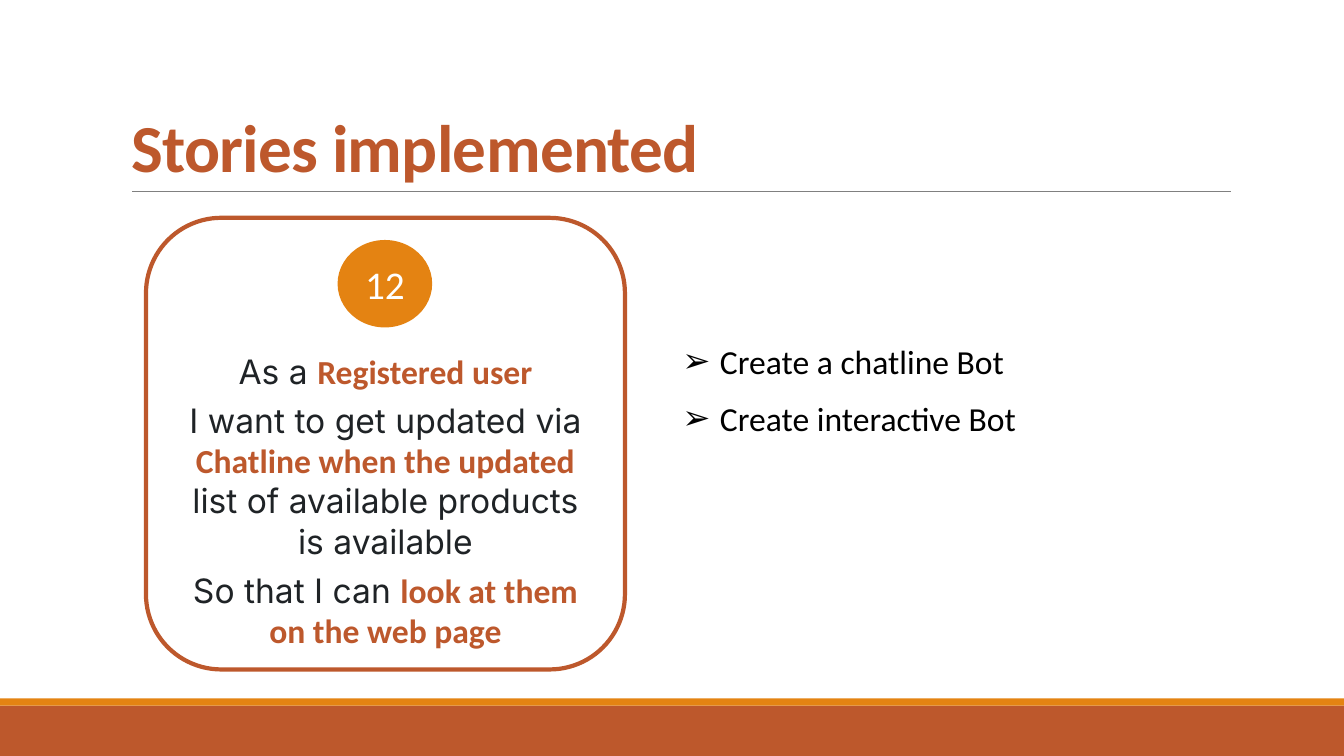
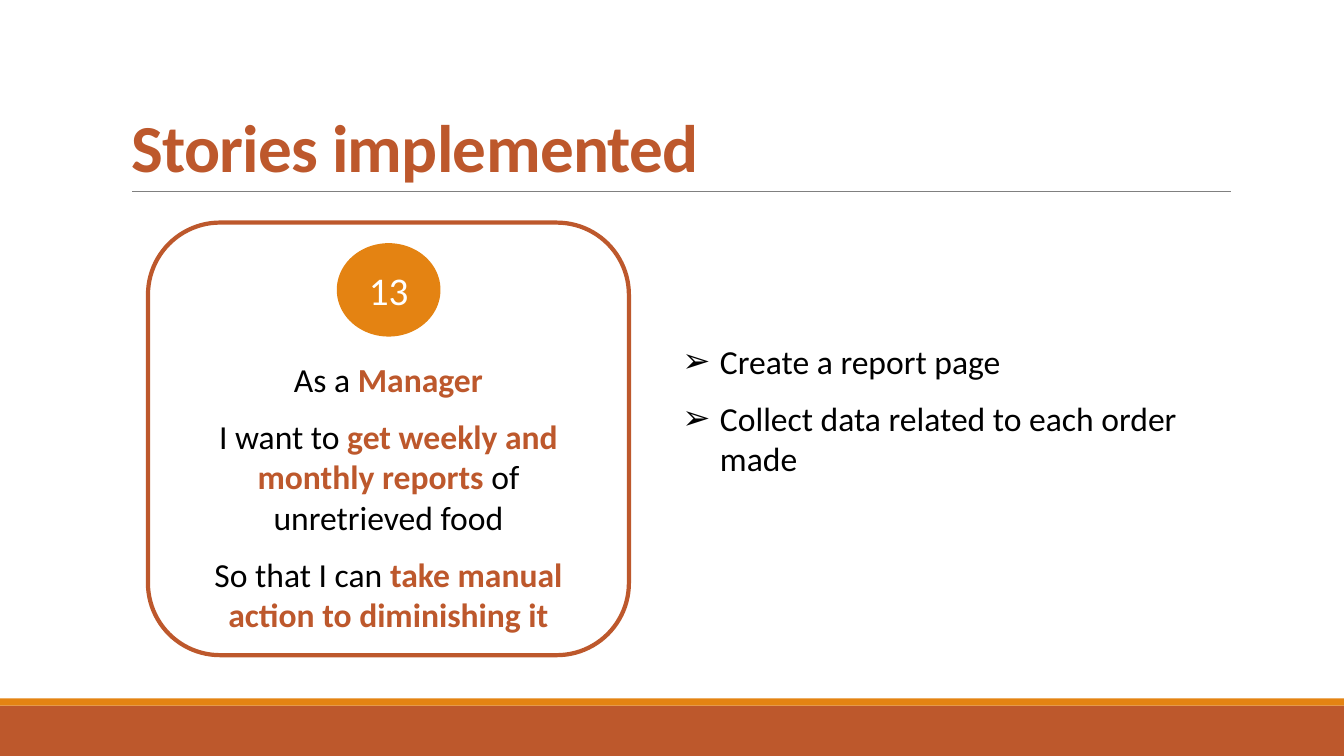
from lxml import etree
from pptx import Presentation
from pptx import util as u
from pptx.dml.color import RGBColor
from pptx.enum import shapes, text
from pptx.oxml.ns import qn

COLORS = {
    "rust": "BD582C",
    "orange": "E48312",
    "rule": "808080",
    "white": "FFFFFF",
    "black": "000000",
    "ink": "1F2326",
}

STORIES = [
    {
        "number": "12",
        "story": [
            "As a *Registered user",
            "I want to get updated via *Chatline when the updated *"
            "list of available products is available",
            "So that I can *look at them on the web page",
        ],
        "tasks": ["Create a chatline Bot", "Create interactive Bot"],
        "card": (3.68, 5.49, 12.07, 11.38),
        "badge": (8.53, 6.07, 2.34, 2.16),
        "story_top": 2.8,
        "story_format": {"font": "Inter", "color": "ink", "after": 6},
    },
    {
        "number": "13",
        "story": [
            "As a *Manager",
            "I want to *get weekly and monthly reports *of unretrieved food",
            "So that I can *take manual action to diminishing it",
        ],
        "tasks": ["Create a report page", "Collect data related to each order made"],
        "card": (3.73, 5.61, 12.12, 10.9),
        "badge": (8.51, 6.15, 2.57, 2.31),
        "story_top": 2.9,
        "story_format": {"after": 12},
    },
]


def write(frame, paragraphs, font="Calibri", size=24, color="black", bold=False,
          align=text.PP_ALIGN.LEFT, after=0, line=1.0, tracking=None, bullet=None):
    for index, words in enumerate(paragraphs):
        paragraph = frame.paragraphs[0] if index == 0 else frame.add_paragraph()
        paragraph.alignment = align
        paragraph.space_before = u.Pt(0)
        paragraph.space_after = u.Pt(after)
        paragraph.line_spacing = line
        for position, part in enumerate(words.split("*")):
            accent = position % 2 == 1
            run = paragraph.add_run()
            run.text = part
            run.font.name = "Calibri" if accent else font
            run.font.size = u.Pt(size)
            run.font.bold = bold or accent
            run.font.color.rgb = RGBColor.from_string(COLORS["rust" if accent else color])
            if tracking is not None:
                run.font._element.set("spc", str(tracking))
        if bullet:
            properties = paragraph._p.get_or_add_pPr()
            properties.set("marL", str(u.Cm(0.95)))
            properties.set("indent", str(u.Cm(-0.95)))
            etree.SubElement(properties, qn("a:buChar")).set("char", bullet)


def draw(slide, kind, box, fill, outline=None, weight=1):
    shape = slide.shapes.add_shape(kind, *map(u.Cm, box))
    shape.shadow.inherit = False
    shape.fill.solid()
    shape.fill.fore_color.rgb = RGBColor.from_string(COLORS[fill])
    if outline:
        shape.line.color.rgb = RGBColor.from_string(COLORS[outline])
        shape.line.width = u.Pt(weight)
    else:
        shape.line.fill.background()
    return shape


prs = Presentation()
prs.slide_width, prs.slide_height = u.Cm(33.87), u.Cm(19.05)

layout = prs.slide_layouts[1]
for holder in list(layout.placeholders):
    if holder.placeholder_format.idx >= 10:
        holder.element.getparent().remove(holder.element)
title_area, tasks_area = layout.placeholders
title_area.left, title_area.top = u.Cm(3.05), u.Cm(0.79)
title_area.width, title_area.height = u.Cm(27.94), u.Cm(4.04)
tasks_area.left, tasks_area.top = u.Cm(16.94), u.Cm(8.46)
tasks_area.width, tasks_area.height = u.Cm(13.92), u.Cm(3.76)

pages = [prs.slides.add_slide(layout) for story in STORIES]

footer = draw(pages[0], shapes.MSO_SHAPE.RECTANGLE, (0, 17.78, 33.87, 1.27), "rust")
stripe = draw(pages[0], shapes.MSO_SHAPE.RECTANGLE, (0, 17.6, 33.87, 0.18), "orange")
rule = pages[0].shapes.add_connector(
    shapes.MSO_CONNECTOR.STRAIGHT, u.Cm(3.33), u.Cm(4.83), u.Cm(31.01), u.Cm(4.83))
rule.line.color.rgb = RGBColor.from_string(COLORS["rule"])
rule.line.width = u.Pt(0.5)
etree.SubElement(rule.element.spPr, qn("a:effectLst"))
for decoration in (footer, stripe, rule):
    layout.shapes.element.append(decoration.element)

for page, story in zip(pages, STORIES):
    heading = page.shapes.title.text_frame
    heading.auto_size = text.MSO_AUTO_SIZE.NONE
    heading.vertical_anchor = text.MSO_ANCHOR.BOTTOM
    write(heading, ["Stories implemented"], size=48, color="rust", bold=True,
          line=0.85, tracking=-50)

    tasks = page.placeholders[1].text_frame
    tasks.auto_size = text.MSO_AUTO_SIZE.NONE
    write(tasks, story["tasks"], after=12, bullet="➢")

    card = draw(page, shapes.MSO_SHAPE.ROUNDED_RECTANGLE, story["card"], "white", "rust", 3)
    card.text_frame.word_wrap = True
    card.text_frame.vertical_anchor = text.MSO_ANCHOR.TOP
    card.text_frame.margin_top = u.Cm(story["story_top"])
    card.text_frame.margin_bottom = 0
    write(card.text_frame, story["story"], align=text.PP_ALIGN.CENTER, **story["story_format"])

    badge = draw(page, shapes.MSO_SHAPE.OVAL, story["badge"], "orange", "orange", 1.25)
    badge.text_frame.vertical_anchor = text.MSO_ANCHOR.MIDDLE
    write(badge.text_frame, [story["number"]], size=28, color="white",
          align=text.PP_ALIGN.CENTER)

prs.save("out.pptx")
